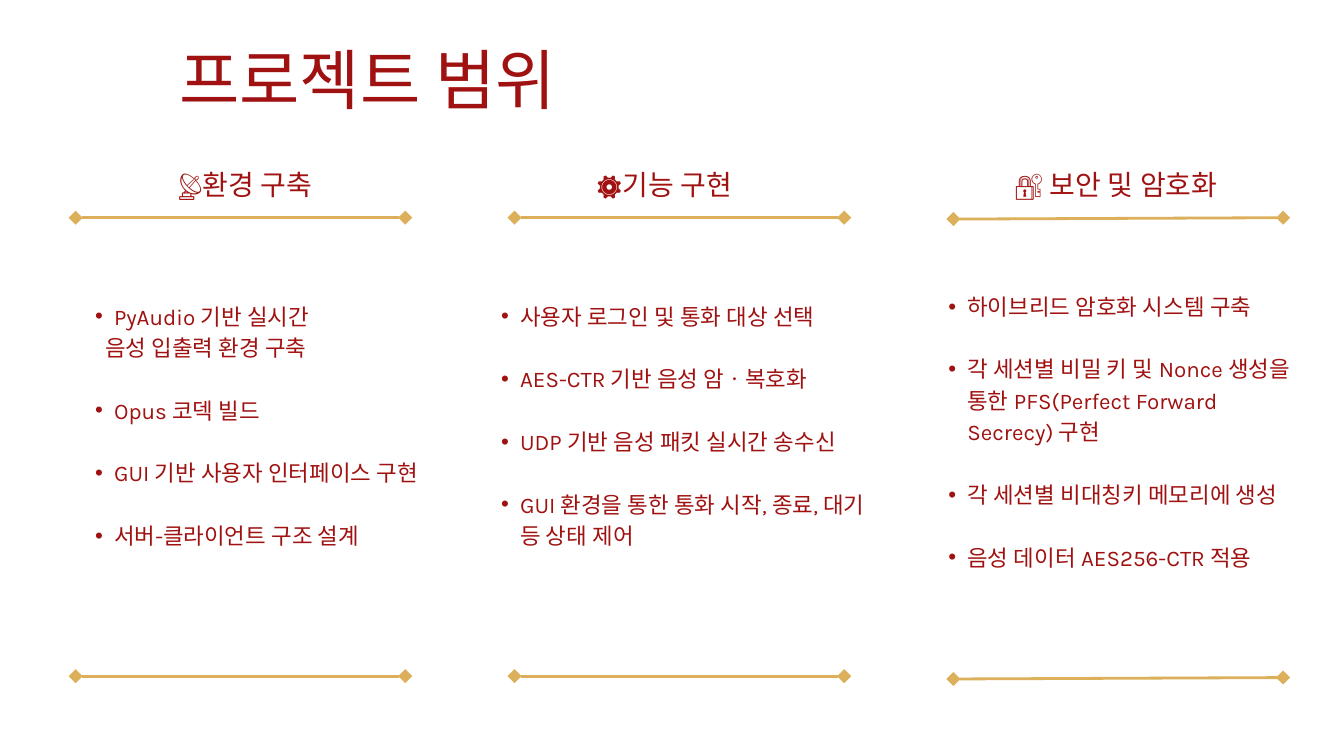
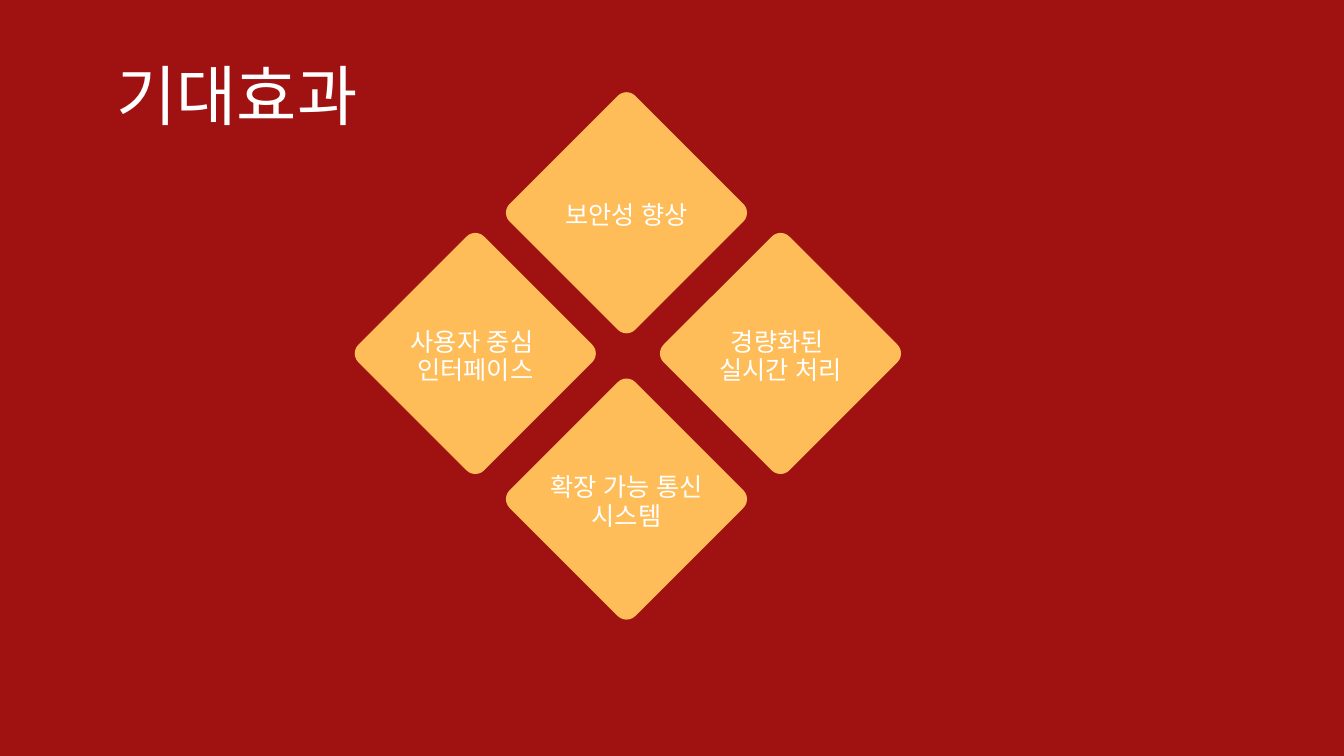
"""Build two slides: project scope in three columns, and expected effects in four diamonds."""
from lxml.etree import SubElement
from pptx import Presentation
from pptx.dml.color import RGBColor
from pptx.enum.shapes import MSO_CONNECTOR, MSO_SHAPE
from pptx.enum.text import MSO_ANCHOR, MSO_AUTO_SIZE, PP_ALIGN
from pptx.oxml.ns import qn
from pptx.util import Pt

PX = 9525
RED, WHITE, GOLD, AMBER = "9F1211", "FFFFFF", "DCAF5A", "FFBD59"
TITLE_FONT, LIST_FONT, DIAMOND_FONT = "Noto Sans CJK KR", "Karla", "Montserrat"

SCOPE_TITLE = "프로젝트 범위"
COLUMNS = [
    {"heading": "📡환경 구축", "heading_w": 212, "list_box": (108, 426, 500, 349),
     "bottom": 966, "rise": 0,
     "items": [["PyAudio 기반 실시간", "음성 입출력 환경 구축"], ["Opus 코덱 빌드"],
               ["GUI 기반 사용자 인터페이스 구현"], ["서버-클라이언트 구조 설계"]]},
    {"heading": "⚙️기능 구현", "heading_w": 212, "list_box": (688, 426, 564, 438),
     "bottom": 966, "rise": 0,
     "items": [["사용자 로그인 및 통화 대상 선택"], ["AES-CTR 기반 음성 암ㆍ복호화"],
               ["UDP 기반 음성 패킷 실시간 송수신"],
               ["GUI 환경을 통한 통화 시작, 종료, 대기 등 상태 제어"]]},
    {"heading": "🔐 보안 및 암호화", "heading_w": 305, "list_box": (1327, 412, 528, 482),
     "bottom": 968, "rise": 2,
     "items": [["하이브리드 암호화 시스템 구축"],
               ["각 세션별 비밀 키 및 Nonce 생성을 통한 PFS(Perfect Forward Secrecy) 구현"],
               ["각 세션별 비대칭키 메모리에 생성"], ["음성 데이터 AES256-CTR 적용"]]},
]
RULE_LEFT, RULE_STEP, RULE_W, RULE_TOP = 108, 627, 471, 311
HEADING_LEFT, HEADING_STEP, HEADING_TOP, HEADING_H = 244, 599, 231, 54
LIST_LEADING, BULLET_INDENT, HANGING, CONTINUED_INDENT = 33.6, 55, 27, 42

EFFECTS_TITLE = "기대효과"
EFFECTS = [
    (895, 304, ["보안성 향상"]),
    (679, 505, ["사용자 중심 ", "인터페이스"]),
    (1115, 505, ["경량화된 ", "실시간 처리"]),
    (895, 713, ["확장 가능 통신 시스템"]),
]
DIAMOND_SIDE, DIAMOND_ROUNDING = 254, 0.07
LABEL_W, LABEL_H, LABEL_DROP = 235, 227, 4


def rgb(color):
    return RGBColor.from_string(color)


def emu(*lengths):
    return [round(n * PX) for n in lengths]


def place(sp, box):
    sp.left, sp.top, sp.width, sp.height = emu(*box)


def frame(sp, anchor=MSO_ANCHOR.TOP, inset=0):
    tf = sp.text_frame
    tf.word_wrap = True
    tf.auto_size = MSO_AUTO_SIZE.NONE
    tf.vertical_anchor = anchor
    tf.margin_left = tf.margin_top = tf.margin_right = tf.margin_bottom = inset * PX
    return tf


def add_line(tf, text, size, font, color, leading, align=PP_ALIGN.LEFT, before=0):
    first = tf.paragraphs[0]
    p = tf.add_paragraph() if first.runs else first
    p.alignment = align
    p.line_spacing = Pt(leading)
    p.space_before = Pt(before)
    p.space_after = Pt(0)
    r = p.add_run()
    r.text = text
    r.font.size = Pt(size)
    r.font.bold = False
    r.font.color.rgb = rgb(color)
    r.font.name = font
    SubElement(r.font._element, qn("a:ea"), typeface=font)
    return p


def set_bullet(p, bulleted):
    pPr = p._p.get_or_add_pPr()
    left, hang = (BULLET_INDENT, -HANGING) if bulleted else (CONTINUED_INDENT, 0)
    pPr.set("marL", str(left * PX))
    pPr.set("indent", str(hang * PX))
    if bulleted:
        SubElement(pPr, qn("a:buFont"), typeface="Arial")
        SubElement(pPr, qn("a:buChar"), char="•")
    else:
        SubElement(pPr, qn("a:buNone"))


def add_slide(prs, layout, background, title, color, left, top):
    s = prs.slides.add_slide(prs.slide_layouts.get_by_name(layout))
    s.background.fill.solid()
    s.background.fill.fore_color.rgb = rgb(background)
    place(s.shapes.title, (left, top, 670, 127))
    add_line(frame(s.shapes.title), title, 70.2, TITLE_FONT, color, 98.4)
    return s


def add_rule(s, x, y, rise):
    line = s.shapes.add_connector(MSO_CONNECTOR.STRAIGHT, *emu(x, y + rise, x + RULE_W, y))
    line.line.color.rgb = rgb(GOLD)
    line.line.width = Pt(3)
    ln = line.line._get_or_add_ln()
    for end in ("a:headEnd", "a:tailEnd"):
        SubElement(ln, qn(end), type="diamond", w="lg", len="lg")
    SubElement(line._element.spPr, qn("a:effectLst"))


def fill_list(sp, column):
    place(sp, column["list_box"])
    tf = frame(sp)
    for i, item in enumerate(column["items"]):
        for j, text in enumerate(item):
            gap = LIST_LEADING if i and not j else 0
            p = add_line(tf, text, 24, LIST_FONT, RED, LIST_LEADING, before=gap)
            set_bullet(p, j == 0)


def build_scope(prs):
    s = add_slide(prs, "Comparison", WHITE, SCOPE_TITLE, RED, 256, 37)
    bodies = [sp for sp in s.placeholders if sp.placeholder_format.idx]
    for i, (column, body) in enumerate(zip(COLUMNS, bodies)):
        x = RULE_LEFT + i * RULE_STEP
        for y in (RULE_TOP, column["bottom"]):
            add_rule(s, x, y, column["rise"])
        heading = s.shapes.add_textbox(*emu(
            HEADING_LEFT + i * HEADING_STEP, HEADING_TOP, column["heading_w"], HEADING_H))
        add_line(frame(heading), column["heading"], 30, LIST_FONT, RED, 42, PP_ALIGN.CENTER)
        fill_list(body, column)
    for sp in bodies[len(COLUMNS):]:
        sp._element.getparent().remove(sp._element)


def build_effects(prs):
    s = add_slide(prs, "Title Only", RED, EFFECTS_TITLE, WHITE, 166, 59)
    for x, y, lines in EFFECTS:
        half = DIAMOND_SIDE / 2
        diamond = s.shapes.add_shape(MSO_SHAPE.ROUNDED_RECTANGLE,
                                     *emu(x - half, y - half, DIAMOND_SIDE, DIAMOND_SIDE))
        diamond.adjustments[0] = DIAMOND_ROUNDING
        diamond.rotation = 45
        diamond.shadow.inherit = False
        diamond.fill.solid()
        diamond.fill.fore_color.rgb = rgb(AMBER)
        diamond.line.fill.background()
        label = s.shapes.add_textbox(*emu(
            x - LABEL_W / 2, y - LABEL_H / 2 + LABEL_DROP, LABEL_W, LABEL_H))
        tf = frame(label, MSO_ANCHOR.MIDDLE, 6)
        for text in lines:
            add_line(tf, text, 27, DIAMOND_FONT, WHITE, 30.2, PP_ALIGN.CENTER)


def main():
    prs = Presentation()
    prs.slide_width, prs.slide_height = emu(1920, 1080)
    build_scope(prs)
    build_effects(prs)
    prs.save("out.pptx")


if __name__ == "__main__":
    main()
